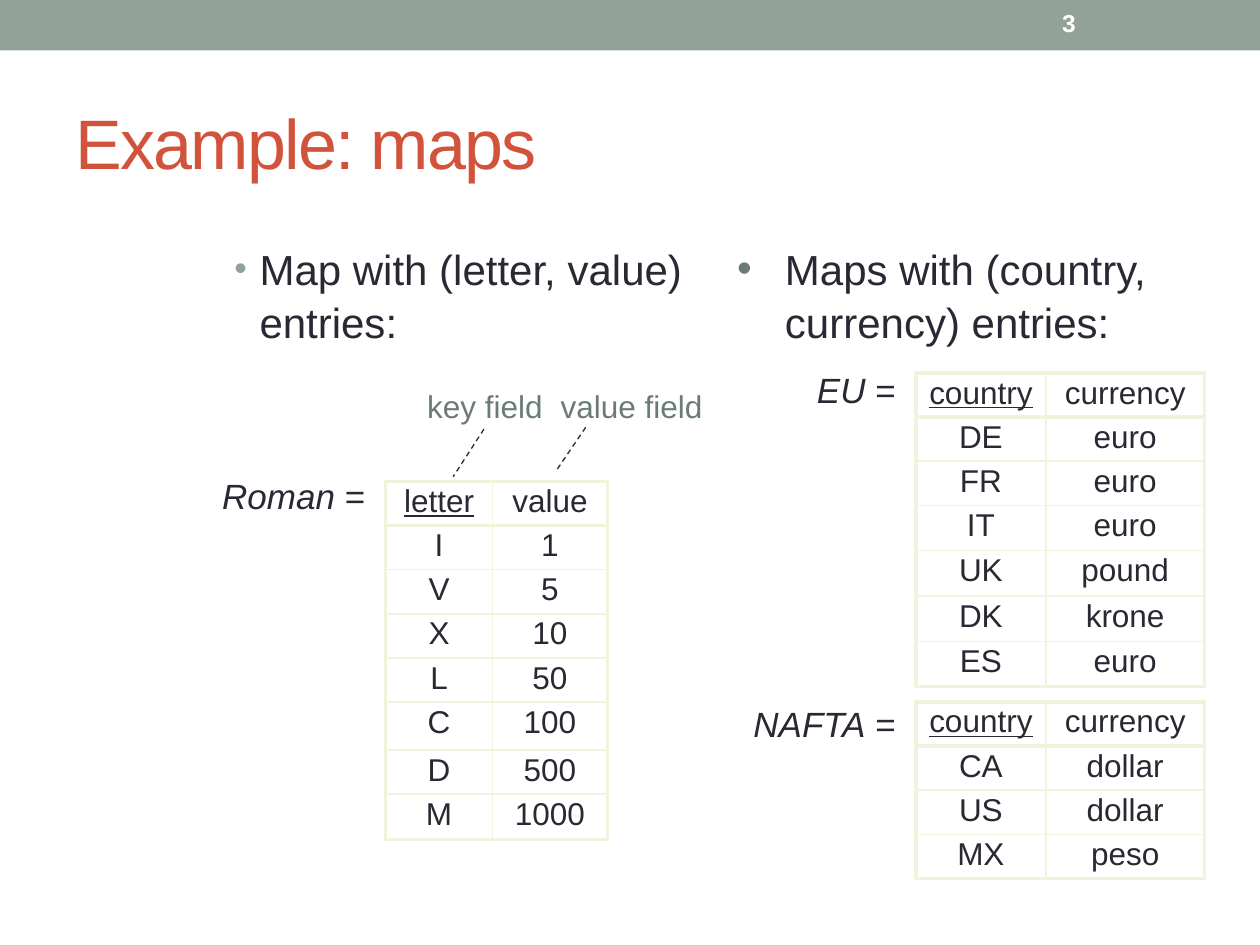
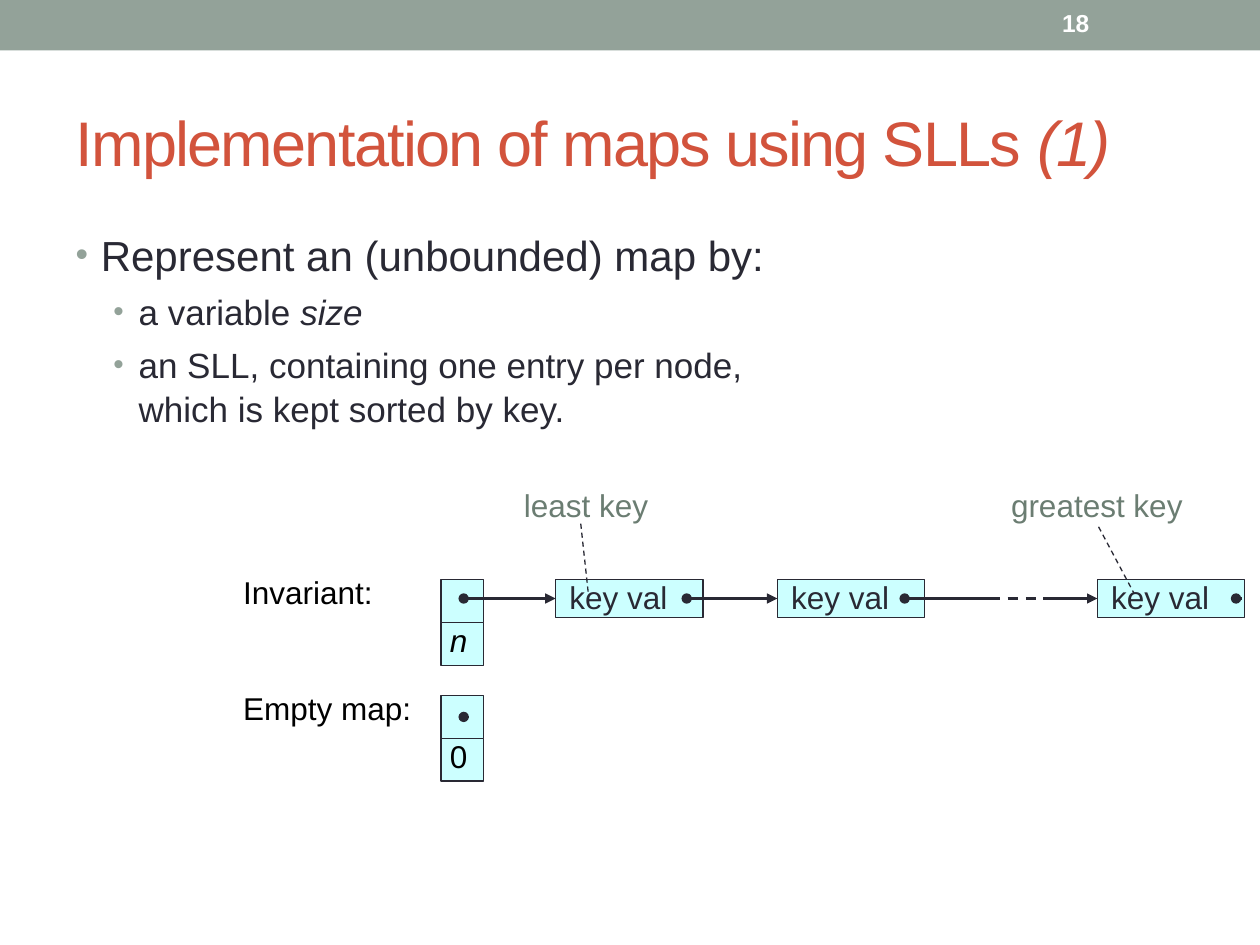
from lxml.etree import SubElement
from pptx import Presentation
from pptx.dml.color import RGBColor
from pptx.enum.dml import MSO_LINE
from pptx.enum.shapes import MSO_CONNECTOR, MSO_SHAPE
from pptx.enum.text import MSO_ANCHOR, MSO_AUTO_SIZE, PP_ALIGN
from pptx.oxml.ns import qn
from pptx.util import Inches, Pt

SAGE = RGBColor(0x93, 0xA2, 0x99)
MOSS = RGBColor(0x6B, 0x7D, 0x72)
RUST = RGBColor(0xD2, 0x53, 0x3C)
INK = RGBColor(0x29, 0x29, 0x34)
CREAM = RGBColor(0xF3, 0xF2, 0xDC)
AQUA = RGBColor(0xCC, 0xFF, 0xFF)
BLACK = RGBColor(0, 0, 0)
WHITE = RGBColor(0xFF, 0xFF, 0xFF)
FONT = "Arial"


def write(par, text, size, color, tail="", lean=None):
    """Fill a paragraph; lean is the index of the italic run."""
    par.text = text
    if tail:
        par.add_run().text = tail
    for run in par.runs:
        run.font.name = FONT
        run.font.size = Pt(size)
        run.font.color.rgb = color
    if lean is not None:
        par.runs[lean].font.italic = True


def place(slide, kind, box, text="", size=18, color=INK, align=PP_ALIGN.LEFT, tail="", lean=None):
    """Add a text box (kind None) or an outlined shape without insets."""
    box = [Inches(n) for n in box]
    if kind is None:
        shape = slide.shapes.add_textbox(*box)
    else:
        shape = slide.shapes.add_shape(kind, *box)
        shape.shadow.inherit = False
        shape.line.color.rgb = INK
        shape.line.width = Pt(0.75)
    frame = shape.text_frame
    frame.word_wrap = True
    frame.vertical_anchor = MSO_ANCHOR.TOP
    frame.margin_left = frame.margin_right = 0
    frame.margin_top = frame.margin_bottom = 0
    if text:
        par = frame.paragraphs[0]
        write(par, text, size, color, tail, lean)
        par.alignment = align
        par.line_spacing = Pt(size)
    return shape


deck = Presentation()
deck.slide_width = Inches(10)
deck.slide_height = Inches(7.5)

# Layout, page, title, title tail, title size, lists
# List: box, bullet colour, bullet size, indent, items (text, italic tail, level)
pages = [
    (3, "3", "Example: maps", "", 40, [
        ((1.76, 1.86, 3.86, 5.05), SAGE, 85, 0.2,
         [("Map with (letter, value) entries:", "", 0)]),
        ((5.75, 1.86, 3.82, 5.05), MOSS, 100, 0.38,
         [("Maps with (country, currency) entries:", "", 0)]),
    ]),
    (1, "18", "Implementation of maps using SLLs ", "(1)", 36, [
        ((0.5, 1.75, 9, 5.33), SAGE, 85, 0.2,
         [("Represent an (unbounded) map by:", "", 0),
          ("a variable ", "size", 1),
          ("an SLL, containing one entry per node,\vwhich is kept sorted by key.", "", 1)]),
    ]),
]

for layout, page, head, tail, size, lists in pages:
    slide = deck.slides.add_slide(deck.slide_layouts[layout])

    # Band and page number
    band = place(slide, MSO_SHAPE.RECTANGLE, (0, 0, 10, 0.4))
    band.fill.solid()
    band.fill.fore_color.rgb = SAGE
    band.line.fill.background()
    number = place(slide, None, (8.43, 0.02, 1.07, 0.36), page, 14, WHITE)
    number.text_frame.vertical_anchor = MSO_ANCHOR.MIDDLE
    number.text_frame.paragraphs[0].runs[0].font.bold = True

    # Title
    title = slide.shapes.title
    title.left, title.top, title.width, title.height = [Inches(n) for n in (0.5, 0.58, 9, 1.08)]
    title.text_frame.auto_size = MSO_AUTO_SIZE.NONE
    title.text_frame.vertical_anchor = MSO_ANCHOR.MIDDLE
    par = title.text_frame.paragraphs[0]
    write(par, head, size, RUST, tail, 1 if tail else None)
    par.alignment = PP_ALIGN.LEFT
    for run in par.runs:
        run.font._element.set("spc", "-100")

    # Bullet lists
    bodies = [hold for hold in slide.placeholders if hold.placeholder_format.idx in (1, 2)]
    for body, (box, tint, scale, hang, items) in zip(bodies, lists):
        body.left, body.top, body.width, body.height = [Inches(n) for n in box]
        frame = body.text_frame
        frame.auto_size = MSO_AUTO_SIZE.NONE
        for i, (text, more, level) in enumerate(items):
            par = frame.add_paragraph() if i else frame.paragraphs[0]
            par.level = level
            par.line_spacing = 1.05
            par.space_before = Pt(5 if i else 0)
            props = par._p.get_or_add_pPr()
            props.set("marL", str(Inches(hang + 0.3 * level)))
            props.set("indent", str(-Inches(hang)))
            SubElement(SubElement(props, qn("a:buClr")), qn("a:srgbClr"), val=str(tint))
            SubElement(props, qn("a:buSzPct"), val=str(scale * 1000))
            SubElement(props, qn("a:buFont"), typeface=FONT)
            SubElement(props, qn("a:buChar"), char="•")
            write(par, text, 20 if level else 24, INK, more, 1 if more else None)

maps, chain = deck.slides

# Map tables: name, label place, table place, column widths, row heights, rows
tables = [
    ("Roman", (1.73, 3.82), (3.06, 3.82), (0.85, 0.91), [0.35] * 5 + [0.38, 0.35, 0.36],
     ["letter value", "I 1", "V 5", "X 10", "L 50", "C 100", "D 500", "M 1000"]),
    ("EU", (5.94, 2.98), (7.27, 2.96), (1.03, 1.26), [0.35] * 3 + [0.36] * 4,
     ["country currency", "DE euro", "FR euro", "IT euro", "UK pound", "DK krone", "ES euro"]),
    ("NAFTA", (5.94, 5.63), (7.27, 5.57), (1.03, 1.26), [0.35] * 4,
     ["country currency", "CA dollar", "US dollar", "MX peso"]),
]
for name, spot, (left, top), cols, highs, rows in tables:
    place(maps, None, (*spot, 1.17, 0.33), name, 20, INK, PP_ALIGN.RIGHT, " =", 0)
    table = maps.shapes.add_table(len(rows), 2, Inches(left), Inches(top),
                                  Inches(sum(cols)), Inches(sum(highs))).table
    table.first_row = table.horz_banding = False
    for col, wide in zip(table.columns, cols):
        col.width = Inches(wide)
    last = len(rows) - 1
    for r, row in enumerate(rows):
        table.rows[r].height = Inches(highs[r])
        for c, text in enumerate(row.split()):
            cell = table.cell(r, c)
            par = cell.text_frame.paragraphs[0]
            write(par, text, 18, INK)
            par.alignment = PP_ALIGN.CENTER
            par.line_spacing = Pt(18)
            par.runs[0].font.underline = r == 0 and c == 0

            # Thick outer frame and header rule, thin inner rules
            props = cell._tc.get_or_add_tcPr()
            thick = {"L": c == 0, "R": c == 1, "T": r < 2, "B": r in (0, last)}
            for side, bold in thick.items():
                edge = SubElement(props, qn("a:ln" + side), w=str(Pt(2.25 if bold else 1)))
                SubElement(SubElement(edge, qn("a:solidFill")), qn("a:srgbClr"), val=str(CREAM))
            cell.fill.solid()
            cell.fill.fore_color.rgb = WHITE

# Head cells of the linked list: label, top, size mark, italic run
for label, top, mark, lean in [("Invariant:", 4.6, "n", 0), ("Empty map:", 5.52, "0", None)]:
    place(chain, None, (1.93, top, 1.46, 0.25), label, color=BLACK)
    for step, text in enumerate(["", mark]):
        cell = place(chain, MSO_SHAPE.RECTANGLE, (3.5, top + 0.34 * step, 0.34, 0.34),
                     text, color=BLACK, align=PP_ALIGN.CENTER, lean=lean if text else None)
        cell.fill.solid()
        cell.fill.fore_color.rgb = AQUA
        cell.text_frame.margin_top = Inches(0.04)
        cell.text_frame.margin_right = Inches(0.06)

# Nodes
nodes = []
for left in (4.41, 6.17, 8.71):
    node = place(chain, MSO_SHAPE.RECTANGLE, (left, 4.6, 1.17, 0.3), "key val")
    node.fill.solid()
    node.fill.fore_color.rgb = AQUA
    node.text_frame.margin_left = Inches(0.11)
    node.text_frame.margin_top = Inches(0.04)
    nodes.append(node)

# Links: start, end, height, dot at start, target node, dashed
links = [
    (3.68, 4.41, 4.75, True, nodes[0], False),
    (5.45, 6.17, 4.75, True, nodes[1], False),
    (7.18, 7.85, 4.75, True, None, False),
    (7.85, 8.26, 4.75, False, None, True),
    (8.28, 8.71, 4.75, False, nodes[2], False),
    (9.81, 9.85, 4.75, True, None, False),
    (3.68, 3.72, 5.69, True, None, False),
]
for start, end, y, dot, goal, dash in links:
    link = chain.shapes.add_connector(MSO_CONNECTOR.STRAIGHT, Inches(start), Inches(y),
                                      Inches(end), Inches(y))
    link.line.color.rgb = INK
    link.line.width = Pt(1.5)
    if dash:
        link.line.dash_style = MSO_LINE.DASH
    stroke = link.line._get_or_add_ln()
    if dot:
        SubElement(stroke, qn("a:headEnd"), type="oval")
    if goal:
        SubElement(stroke, qn("a:tailEnd"), type="triangle")
        link.end_connect(goal, 1)
    SubElement(link._element.spPr, qn("a:effectLst"))

# Callouts: slide, text, box, alignment, leader (y and x of both ends)
notes = [
    (maps, "key field", (3.39, 3.12, 0.94, 0.28), PP_ALIGN.LEFT, (1.02, 0.48, 2.37, 0.22)),
    (maps, "value field", (4.45, 3.12, 1.17, 0.28), PP_ALIGN.LEFT, (0.97, 0.17, 2.2, -0.03)),
    (chain, "least key", (4.14, 3.91, 1.02, 0.28), PP_ALIGN.CENTER, (0.88, 0.46, 2.9, 0.52)),
    (chain, "greatest key", (8, 3.91, 1.41, 0.28), PP_ALIGN.CENTER, (0.97, 0.51, 2.86, 0.71)),
]
for slide, text, box, align, leader in notes:
    note = place(slide, MSO_SHAPE.LINE_CALLOUT_1_NO_BORDER, box, text, color=MOSS, align=align)
    note.fill.background()
    note.line.dash_style = MSO_LINE.DASH
    for i, ratio in enumerate(leader):
        note.adjustments[i] = ratio

deck.save("out.pptx")
